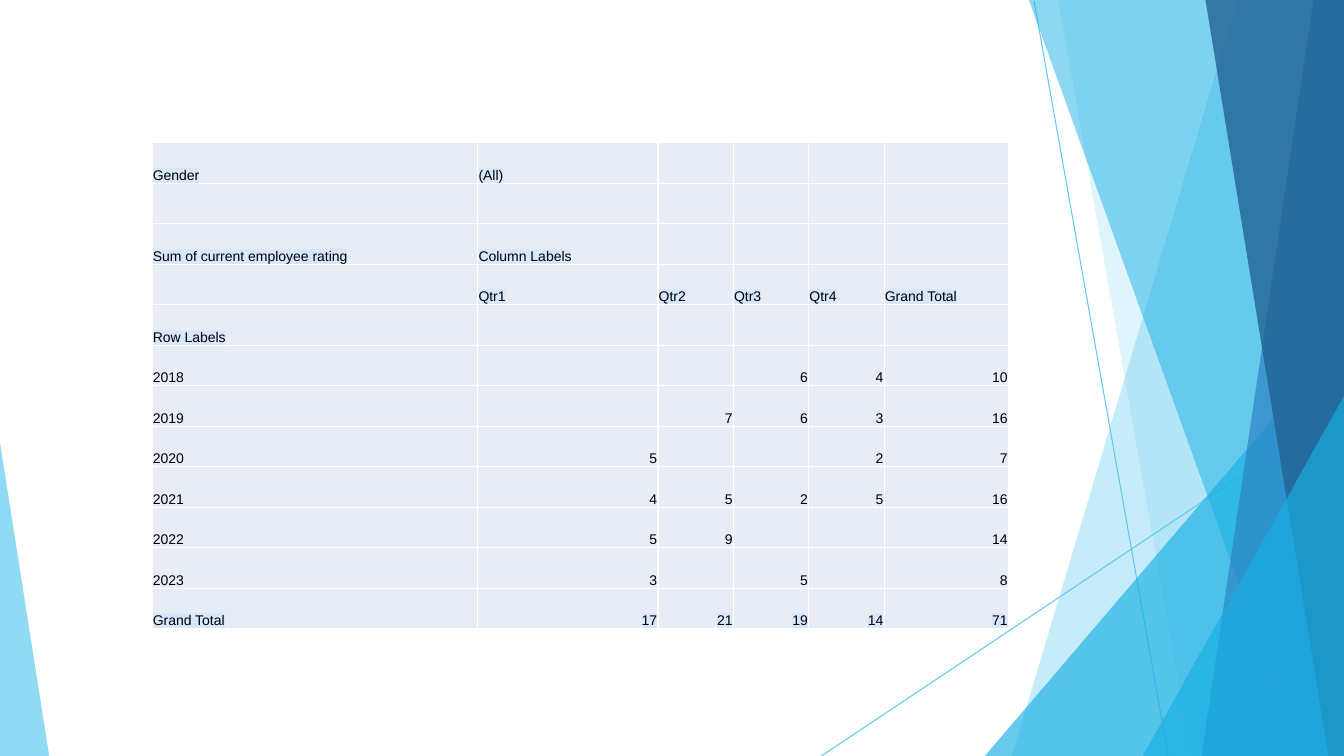
"""Build a slide with an employee rating pivot table beside layered blue shards."""
from dataclasses import dataclass

from lxml.etree import SubElement
from pptx import Presentation
from pptx.dml.color import RGBColor
from pptx.enum.shapes import MSO_CONNECTOR
from pptx.enum.text import MSO_ANCHOR, PP_ALIGN
from pptx.oxml import parse_xml
from pptx.oxml.ns import nsdecls, qn
from pptx.util import Cm, Pt


@dataclass(frozen=True)
class Theme:
    sky: str = "5FCAEE"
    cyan: str = "17AFE3"
    blue: str = "2D83C3"
    navy: str = "226192"
    cell: str = "E8ECF4"
    border: str = "FFFFFF"
    mark: str = "D9E7FD"
    text: str = "000000"
    font: str = "Arial"
    size: float = 10
    rule: float = 0.75
    border_width: float = 1


THEME = Theme()
W, H = 33.87, 19.05

ROWS = [
    ("Gender", "(All)", "", "", "", ""),
    ("", "", "", "", "", ""),
    ("Sum of current employee rating", "Column Labels", "", "", "", ""),
    ("", "Qtr1", "Qtr2", "Qtr3", "Qtr4", "Grand Total"),
    ("Row Labels", "", "", "", "", ""),
    (2018, "", "", 6, 4, 10),
    (2019, "", 7, 6, 3, 16),
    (2020, 5, "", "", 2, 7),
    (2021, 4, 5, 2, 5, 16),
    (2022, 5, 9, "", "", 14),
    (2023, 3, "", 5, "", 8),
    ("Grand Total", 17, 21, 19, 14, 71),
]
COLS = (8.21, 4.54, 1.9, 1.9, 1.9, 3.13)
ROW_H = 1.02
TABLE_LEFT, TABLE_TOP = 3.83, 3.6

RULES = [((26.06, 0.03), (29.44, H)), ((W, 10.26), (20.7, H))]
SHARDS = [
    (THEME.sky, 35, [(W, 0), (31.19, 0), (25.5, H), (W, H)]),
    (THEME.sky, 19, [(W, 0), (26.67, 0), (30.02, H), (W, H)]),
    (THEME.cyan, 65, [(W, 8.46), (24.82, H), (W, H)]),
    (THEME.cyan, 49, [(W, 0), (25.93, 0), (32.79, H), (W, H)]),
    (THEME.blue, 69, [(W, 0), (33.1, 0), (30.28, H), (W, H)]),
    (THEME.navy, 79, [(W, 0), (30.38, 0), (33.48, H), (W, H)]),
    (THEME.cyan, 65, [(W, 9.98), (28.8, H), (W, H)]),
    (THEME.sky, 69, [(0, 11.15), (0, H), (1.24, H)]),
]


def rgb(code):
    return RGBColor.from_string(code)


def add_rule(s, start, end):
    sp = s.shapes.add_connector(MSO_CONNECTOR.STRAIGHT, *map(Cm, start + end))
    sp.line.color.rgb = rgb(THEME.sky)
    sp.line.width = Pt(THEME.rule)
    SubElement(sp._element.spPr, qn("a:effectLst"))


def add_shard(s, color, opacity, points):
    start, *rest = [(Cm(x), Cm(y)) for x, y in points]
    builder = s.shapes.build_freeform(*start)
    builder.add_line_segments(rest, close=True)
    sp = builder.convert_to_shape()
    sp.shadow.inherit = False
    sp.line.fill.background()
    sp.fill.solid()
    sp.fill.fore_color.rgb = rgb(color)
    clr = sp._element.spPr.find(qn("a:solidFill"))[0]
    SubElement(clr, qn("a:alpha"), val=str(opacity * 1000))


def add_borders(cell):
    tc_pr = cell._tc.get_or_add_tcPr()
    for i, side in enumerate("LRTB"):
        tc_pr.insert(i, parse_xml(
            f'<a:ln{side} {nsdecls("a")} w="{Pt(THEME.border_width)}"><a:solidFill>'
            f'<a:srgbClr val="{THEME.border}"/></a:solidFill></a:ln{side}>'))


def highlight(r):
    latin = r._r.rPr.find(qn("a:latin"))
    latin.addprevious(parse_xml(
        f'<a:highlight {nsdecls("a")}><a:srgbClr val="{THEME.mark}"/></a:highlight>'))


def fill_cell(cell, value, align, marked):
    cell.fill.solid()
    cell.fill.fore_color.rgb = rgb(THEME.cell)
    add_borders(cell)
    cell.vertical_anchor = MSO_ANCHOR.BOTTOM
    cell.margin_left = cell.margin_right = cell.margin_top = Cm(0.02)
    cell.margin_bottom = 0
    if value == "":
        return
    p = cell.text_frame.paragraphs[0]
    p.text = str(value)
    p.alignment = align
    r = p.runs[0]
    r.font.size = Pt(THEME.size)
    r.font.color.rgb = rgb(THEME.text)
    r.font.name = THEME.font
    if marked:
        highlight(r)


def add_ratings(s):
    table = s.shapes.add_table(
        len(ROWS), len(COLS), Cm(TABLE_LEFT), Cm(TABLE_TOP),
        Cm(sum(COLS)), Cm(ROW_H * len(ROWS))).table
    table.first_row = table.horz_banding = False
    for col, width in zip(table.columns, COLS):
        col.width = Cm(width)
    for row, values in zip(table.rows, ROWS):
        row.height = Cm(ROW_H)
        marked = isinstance(values[0], str)
        for j, (cell, value) in enumerate(zip(row.cells, values)):
            number = j > 0 and isinstance(value, int)
            fill_cell(cell, value, PP_ALIGN.RIGHT if number else PP_ALIGN.LEFT, marked)


def main():
    prs = Presentation()
    prs.slide_width, prs.slide_height = Cm(W), Cm(H)
    s = prs.slides.add_slide(prs.slide_layouts[6])
    for rule in RULES:
        add_rule(s, *rule)
    for shard in SHARDS:
        add_shard(s, *shard)
    add_ratings(s)
    prs.save("out.pptx")


if __name__ == "__main__":
    main()
